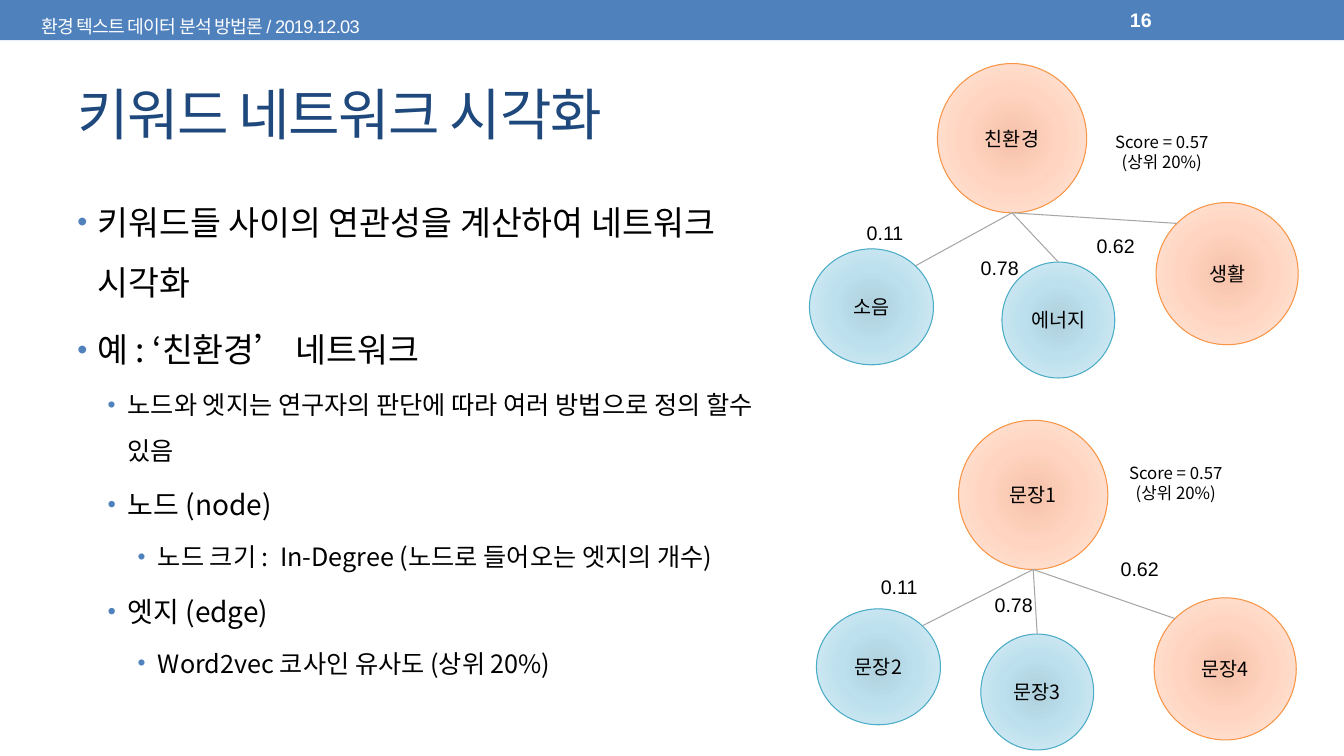
from math import sqrt

from lxml.etree import SubElement
from pptx import Presentation
from pptx.dml.color import RGBColor as RGB
from pptx.enum.shapes import MSO_CONNECTOR as CXN, MSO_SHAPE as SHAPE
from pptx.enum.text import MSO_ANCHOR as ANCHOR, MSO_AUTO_SIZE as FIT, PP_ALIGN as ALIGN
from pptx.oxml import parse_xml
from pptx.oxml.ns import nsdecls, qn
from pptx.util import Pt

KR, LATIN = "Noto Sans CJK KR", "Arial"
COLORS = {"bar": "4F81BD", "title": "1F497D", "white": "FFFFFF", "black": "000000",
          "edge": "A6A6A6", "orange": "F79646", "blue": "4BACC6"}
GRADIENTS = {"orange": ("F6C2AA", "FFD4C0", "FFE7DD"), "blue": ("AFD0DD", "BCE0EE", "DAEEF6")}

# Node sizes and colours by role, shared by both networks
NODES = {"root": (106.6, 106.6, "orange"), "mid": (80.6, 82.8, "blue"),
         "left": (88.6, 82.8, "blue"), "right": (101.5, 101.5, "orange")}
WEIGHTS = {"right": "0.62", "left": "0.11", "mid": "0.78"}
# Where an edge meets its node: fraction of width and height
DIAG = sqrt(0.5) / 2
PORTS = {"root": (0.5, 1), "mid": (0.5, 0),
         "left": (0.5 + DIAG, 0.5 - DIAG), "right": (0.5 - DIAG, 0.5 - DIAG)}

NETWORKS = [
    {"nodes": {"root": ("친환경", 669.6, 45.4), "mid": ("에너지", 715.7, 187.2),
               "left": ("소음", 578.2, 177.8), "right": ("생활", 825.8, 144.7)},
     "weights": {"right": (776.2, 163.4), "left": (612, 154.1), "mid": (693.4, 179.3)},
     "score": (787, 90.7)},
    {"nodes": {"root": ("문장1", 684.7, 300.2), "mid": ("문장3", 700.6, 452.9),
               "left": ("문장2", 583.2, 434.9), "right": ("문장4", 824.4, 427)},
     "weights": {"right": (793.4, 394.6), "left": (622.1, 406.8), "mid": (703.4, 419.8)},
     "score": (797, 326.9)},
]

# Text, outline level, indent in points, size
BULLETS = [
    ("키워드들 사이의 연관성을 계산하여 네트워크 시각화", 0, 14.4, 24),
    ("예 : ‘친환경’ 네트워크", 0, 14.4, 24),
    ("노드와 엣지는 연구자의 판단에 따라 여러 방법으로 정의 할수 있음", 2, 36, 18),
    ("노드 (node)", 1, 36, 20),
    ("노드 크기 :  In-Degree (노드로 들어오는 엣지의 개수)", 2, 57.6, 18),
    ("엣지 (edge)", 1, 36, 20),
    ("Word2vec 코사인 유사도 (상위 20%)", 2, 57.6, 18),
]


def rgb(name):
    return RGB.from_string(COLORS[name])


class Deck:
    def __init__(self, width, height):
        self.prs = Presentation()
        self.prs.slide_width, self.prs.slide_height = Pt(width), Pt(height)
        self.s = self.prs.slides.add_slide(self.prs.slide_layouts[1])

    def place(self, sp, box):
        for name, value in zip(("left", "top", "width", "height"), box):
            setattr(sp, name, Pt(value))

    def frame(self, tf, **fmt):
        for name, value in {"word_wrap": True, "auto_size": FIT.NONE, **fmt}.items():
            setattr(tf, name, value)

    def run(self, p, text, size, font=KR, color="black", bold=False, spacing=0):
        r = p.add_run()
        r.text = text
        for name, value in {"size": Pt(size), "name": font, "bold": bold}.items():
            setattr(r.font, name, value)
        r.font.color.rgb = rgb(color)
        rPr = r._r.get_or_add_rPr()
        ea = parse_xml(f'<a:ea {nsdecls("a")} typeface="{KR}"/>')
        rPr.find(qn("a:latin")).addnext(ea)
        if spacing:
            rPr.set("spc", str(int(spacing * 100)))

    def bar(self, box):
        sp = self.s.shapes.add_shape(SHAPE.RECTANGLE, *map(Pt, box))
        sp.shadow.inherit = False
        sp.fill.solid()
        sp.fill.fore_color.rgb = rgb("bar")
        sp.line.fill.background()

    def text(self, box, lines, size, align=ALIGN.LEFT, fmt=None, leading=None, **font):
        sp = self.s.shapes.add_textbox(*map(Pt, box))
        tf = sp.text_frame
        self.frame(tf, **(fmt or {"auto_size": FIT.SHAPE_TO_FIT_TEXT}))
        for i, line in enumerate(lines):
            p = tf.add_paragraph() if i else tf.paragraphs[0]
            p.alignment = align
            if leading:
                p.line_spacing = Pt(leading)
            self.run(p, line, size, **font)

    def title(self, box, text):
        sp = self.s.shapes.title
        self.place(sp, box)
        self.frame(sp.text_frame, vertical_anchor=ANCHOR.MIDDLE)
        p = sp.text_frame.paragraphs[0]
        p.alignment = ALIGN.LEFT
        self.run(p, text, 40, color="title", spacing=-1)

    def bullets(self, box, items):
        sp = self.s.placeholders[1]
        self.place(sp, box)
        tf = sp.text_frame
        self.frame(tf, vertical_anchor=ANCHOR.TOP)
        for i, (text, level, indent, size) in enumerate(items):
            p = tf.add_paragraph() if i else tf.paragraphs[0]
            p.level, p.line_spacing = level, 1.5
            pPr = p._p.get_or_add_pPr()
            pPr.set("marL", str(Pt(indent)))
            pPr.set("indent", str(Pt(-14.4)))
            before = SubElement(pPr, qn("a:spcBef"))
            SubElement(before, qn("a:spcPct"), val="20000")
            color = SubElement(pPr, qn("a:buClr"))
            SubElement(color, qn("a:srgbClr"), val=COLORS["bar"])
            SubElement(pPr, qn("a:buSzPct"), val="90000" if level == 2 else "85000")
            SubElement(pPr, qn("a:buFont"), typeface=LATIN)
            SubElement(pPr, qn("a:buChar"), char="•")
            self.run(p, text, size)

    def node(self, box, text, color):
        sp = self.s.shapes.add_shape(SHAPE.OVAL, *map(Pt, box))
        sp.shadow.inherit = False
        sp.line.color.rgb, sp.line.width = rgb(color), Pt(0.75)
        # Radial gradient, darkest in the centre
        stops = "".join(f'<a:gs pos="{pos}000"><a:srgbClr val="{c}"/></a:gs>'
                        for pos, c in zip((0, 45, 100), GRADIENTS[color]))
        sp.fill.background()
        spPr = sp._element.spPr
        spPr.replace(spPr.find(qn("a:noFill")), parse_xml(
            f'<a:gradFill {nsdecls("a")} rotWithShape="1"><a:gsLst>{stops}</a:gsLst>'
            '<a:path path="circle"><a:fillToRect l="100000" t="100000" r="100000" b="100000"/>'
            '</a:path></a:gradFill>'))
        self.frame(sp.text_frame, vertical_anchor=ANCHOR.MIDDLE)
        p = sp.text_frame.paragraphs[0]
        p.alignment = ALIGN.CENTER
        self.run(p, text, 14)

    def edge(self, start, end):
        c = self.s.shapes.add_connector(CXN.STRAIGHT, *map(Pt, start + end))
        c.line.color.rgb, c.line.width = rgb("edge"), Pt(0.75)
        SubElement(c._element.spPr, qn("a:effectLst"))

    def network(self, nodes, weights, score):
        ports = {}
        for role, (text, x, y) in nodes.items():
            w, h, color = NODES[role]
            self.node((x, y, w, h), text, color)
            fx, fy = PORTS[role]
            ports[role] = (x + w * fx, y + h * fy)
        for role, at in weights.items():
            self.edge(ports["root"], ports[role])
            self.text((*at, 45, 24.5), [WEIGHTS[role]], 14, font=LATIN)
        self.text((*score, 85.7, 36), ["Score = 0.57", "(상위 20%)"], 12, ALIGN.CENTER)


def main():
    deck = Deck(960, 540)

    # Header bar
    deck.bar((0, 0, 960, 28.8))
    margins = dict.fromkeys(("margin_left", "margin_top", "margin_right", "margin_bottom"), 0)
    deck.text((29.5, 2.9, 293.8, 24.5), ["환경 텍스트 데이터 분석 방법론 / 2019.12.03"], 13,
              fmt=margins, leading=24, font=LATIN, color="white", spacing=-0.5)
    deck.text((800, 1.4, 112.3, 25.9), ["16"], 14, fmt={"vertical_anchor": ANCHOR.MIDDLE},
              font=LATIN, color="white", bold=True)

    # Title and list
    deck.title((48, 41.8, 864, 77.8), "키워드 네트워크 시각화")
    deck.bullets((48, 126, 516.2, 383.8), BULLETS)

    # Keyword and sentence networks
    for net in NETWORKS:
        deck.network(**net)

    deck.prs.save("out.pptx")


if __name__ == "__main__":
    main()
